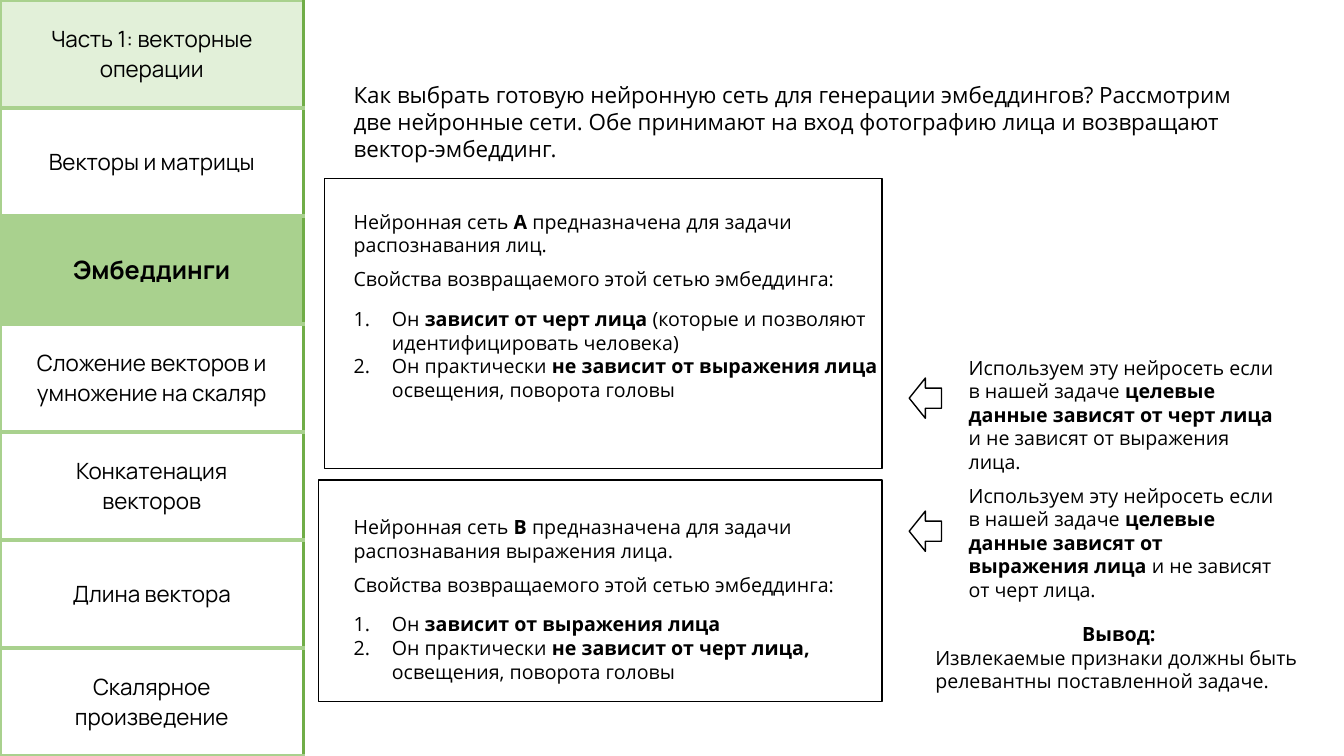
from dataclasses import dataclass

from lxml import etree
from pptx import Presentation
from pptx import util as u
from pptx.dml import color
from pptx.enum import shapes, text
from pptx.oxml import ns


@dataclass(frozen=True)
class Theme:
    ink: str = "000000"
    paper: str = "FFFFFF"
    pale_green: str = "E2F0D9"
    green: str = "A9D18E"
    dark_green: str = "70AD47"
    body_font: str = "Open Sans"
    menu_font: str = "Manrope"
    body: int = 14
    large: int = 16
    current: int = 18
    outline: int = 1
    border: int = 3


@dataclass(frozen=True)
class Area:
    left: float
    top: float
    width: float
    height: float


@dataclass(frozen=True)
class Run:
    words: str
    bold: bool = False


@dataclass(frozen=True)
class Line:
    runs: tuple[Run, ...]
    numbered: bool = False
    centred: bool = False


@dataclass(frozen=True)
class Topic:
    lines: tuple[str, ...]
    fill: str | None = None
    current: bool = False


@dataclass(frozen=True)
class Network:
    letter: str
    task: str
    frame: Area
    text_top: float
    traits: tuple[Line, ...]
    traits_size: tuple[float, float]
    advice: tuple[Run, ...]
    advice_top: float
    arrow_top: float


THEME = Theme()
WIDTH, HEIGHT = u.Inches(13.33), u.Inches(7.5)
TEXT_LEFT = 25.57
TASK_HEIGHT = 7.6
TRAITS_OFFSET = 12.87
MENU_WIDTH = 22.58

TOPICS = (
    Topic(("Часть 1: векторные операции",), THEME.pale_green),
    Topic(("Векторы и матрицы",)),
    Topic(("Эмбеддинги",), THEME.green, True),
    Topic(("Сложение векторов и умножение на скаляр",)),
    Topic(("Конкатенация", "векторов")),
    Topic(("Длина вектора",)),
    Topic(("Скалярное", "произведение")),
)

NETWORKS = (
    Network(
        "A", "распознавания лиц.", Area(24.15, 23.6, 41.48, 38.4), 27.07,
        (Line((Run("Он "), Run("зависит от черт лица ", True),
               Run("(которые и позволяют\nидентифицировать человека)")), True),
         Line((Run("Он практически "), Run("не зависит от выражения лица\n", True),
               Run("освещения, поворота головы")), True)),
        (40.5, 13.87),
        (Run("целевые данные зависят от черт лица ", True),
         Run("и не зависят от выражения лица.")),
        46.4, 50),
    Network(
        "B", "распознавания выражения лица.", Area(23.7, 63.47, 41.92, 29.33), 67.47,
        (Line((Run("Он "), Run("зависит от выражения лица", True)), True),
         Line((Run("Он практически "), Run("не зависит от черт лица,\n", True),
               Run("освещения, поворота головы")), True)),
        (38.62, 10.8),
        (Run("целевые данные зависят от выражения лица ", True),
         Run("и не зависят от черт лица.")),
        63.33, 67.6),
)

INTRO = ("Как выбрать готовую нейронную сеть для генерации эмбеддингов? Рассмотрим "
         "две нейронные сети. Обе принимают на вход фотографию лица и возвращают "
         "вектор-эмбеддинг.")


def place(area: Area) -> tuple[int, int, int, int]:
    return (int(WIDTH * area.left / 100), int(HEIGHT * area.top / 100),
            int(WIDTH * area.width / 100), int(HEIGHT * area.height / 100))


def rgb(value: str) -> color.RGBColor:
    return color.RGBColor.from_string(value)


def add_run(paragraph, run: Run, font_name: str, size: int) -> None:
    for index, piece in enumerate(run.words.split("\n")):
        if index:
            paragraph.add_line_break()
        if piece:
            part = paragraph.add_run()
            part.text = piece
            part.font.name = font_name
            part.font.size = u.Pt(size)
            part.font.bold = run.bold
            part.font.color.rgb = rgb(THEME.ink)


def number(paragraph) -> None:
    properties = paragraph._p.get_or_add_pPr()
    properties.set("marL", str(u.Inches(0.38)))
    properties.set("indent", str(-u.Inches(0.38)))
    etree.SubElement(properties, ns.qn("a:buAutoNum"), type="arabicPeriod")


def write(frame, lines: tuple[Line, ...], font_name: str, size: int) -> None:
    for index, line in enumerate(lines):
        paragraph = frame.add_paragraph() if index else frame.paragraphs[0]
        if line.numbered:
            number(paragraph)
        paragraph.alignment = text.PP_ALIGN.CENTER if line.centred else text.PP_ALIGN.LEFT
        for run in line.runs:
            add_run(paragraph, run, font_name, size)


def add_text(slide, area: Area, lines: tuple[Line, ...], size: int = THEME.body) -> None:
    frame = slide.shapes.add_textbox(*place(area)).text_frame
    frame.word_wrap = True
    frame.auto_size = text.MSO_AUTO_SIZE.SHAPE_TO_FIT_TEXT
    write(frame, lines, THEME.body_font, size)


def add_outlined(slide, preset: shapes.MSO_SHAPE, area: Area, rotation: int = 0) -> None:
    outlined = slide.shapes.add_shape(preset, *place(area))
    outlined.rotation = rotation
    outlined.shadow.inherit = False
    outlined.fill.solid()
    outlined.fill.fore_color.rgb = rgb(THEME.paper)
    outlined.line.color.rgb = rgb(THEME.ink)
    outlined.line.width = u.Pt(THEME.outline)


def set_borders(cell) -> None:
    properties = cell._tc.get_or_add_tcPr()
    for index, side in enumerate(("lnL", "lnR", "lnT", "lnB")):
        border = etree.Element(ns.qn(f"a:{side}"), w=str(u.Pt(THEME.border)))
        fill = etree.SubElement(border, ns.qn("a:solidFill"))
        shade = THEME.dark_green if side == "lnR" else THEME.green
        etree.SubElement(fill, ns.qn("a:srgbClr"), val=shade)
        properties.insert(index, border)


def add_menu(slide) -> None:
    menu = slide.shapes.add_table(len(TOPICS), 1, *place(Area(0, 0, MENU_WIDTH, 100))).table
    menu.first_row = menu.horz_banding = False
    for row, topic in enumerate(TOPICS):
        menu.rows[row].height = HEIGHT // len(TOPICS)
        cell = menu.cell(row, 0)
        cell.vertical_anchor = text.MSO_ANCHOR.MIDDLE
        if topic.fill:
            cell.fill.solid()
            cell.fill.fore_color.rgb = rgb(topic.fill)
        else:
            cell.fill.background()
        set_borders(cell)
        lines = tuple(Line((Run(words, topic.current),), centred=True) for words in topic.lines)
        write(cell.text_frame, lines, THEME.menu_font,
              THEME.current if topic.current else THEME.large)


def add_network(slide, network: Network) -> None:
    top = network.text_top
    add_outlined(slide, shapes.MSO_SHAPE.RECTANGLE, network.frame)
    add_text(slide, Area(TEXT_LEFT, top, 40, TASK_HEIGHT), (
        Line((Run("Нейронная сеть "), Run(f"{network.letter} ", True),
              Run("предназначена для задачи"))),
        Line((Run(network.task),))))
    add_text(slide, Area(TEXT_LEFT, top + TASK_HEIGHT, 40, 4.53),
             (Line((Run("Свойства возвращаемого этой сетью эмбеддинга:"),)),))
    add_text(slide, Area(TEXT_LEFT, top + TRAITS_OFFSET, *network.traits_size), network.traits)
    add_text(slide, Area(71.33, network.advice_top, 25.05, 13.87),
             (Line((Run("Используем эту нейросеть если в нашей задаче "), *network.advice)),))
    add_outlined(slide, shapes.MSO_SHAPE.RIGHT_ARROW,
                 Area(67.65, network.arrow_top, 2.4, 5.33), 180)


def main() -> None:
    deck = Presentation()
    deck.slide_width, deck.slide_height = WIDTH, HEIGHT
    slide = deck.slides.add_slide(deck.slide_layouts[6])
    add_menu(slide)
    add_text(slide, Area(TEXT_LEFT, 10.13, 67.2, 12.13), (Line((Run(INTRO),)),), THEME.large)
    for network in NETWORKS:
        add_network(slide, network)
    add_text(slide, Area(68.85, 81.6, 28.8, 10.8), (
        Line((Run("Вывод:", True),), centred=True),
        Line((Run("Извлекаемые признаки должны быть релевантны поставленной задаче."),))))
    deck.save("out.pptx")


if __name__ == "__main__":
    main()
